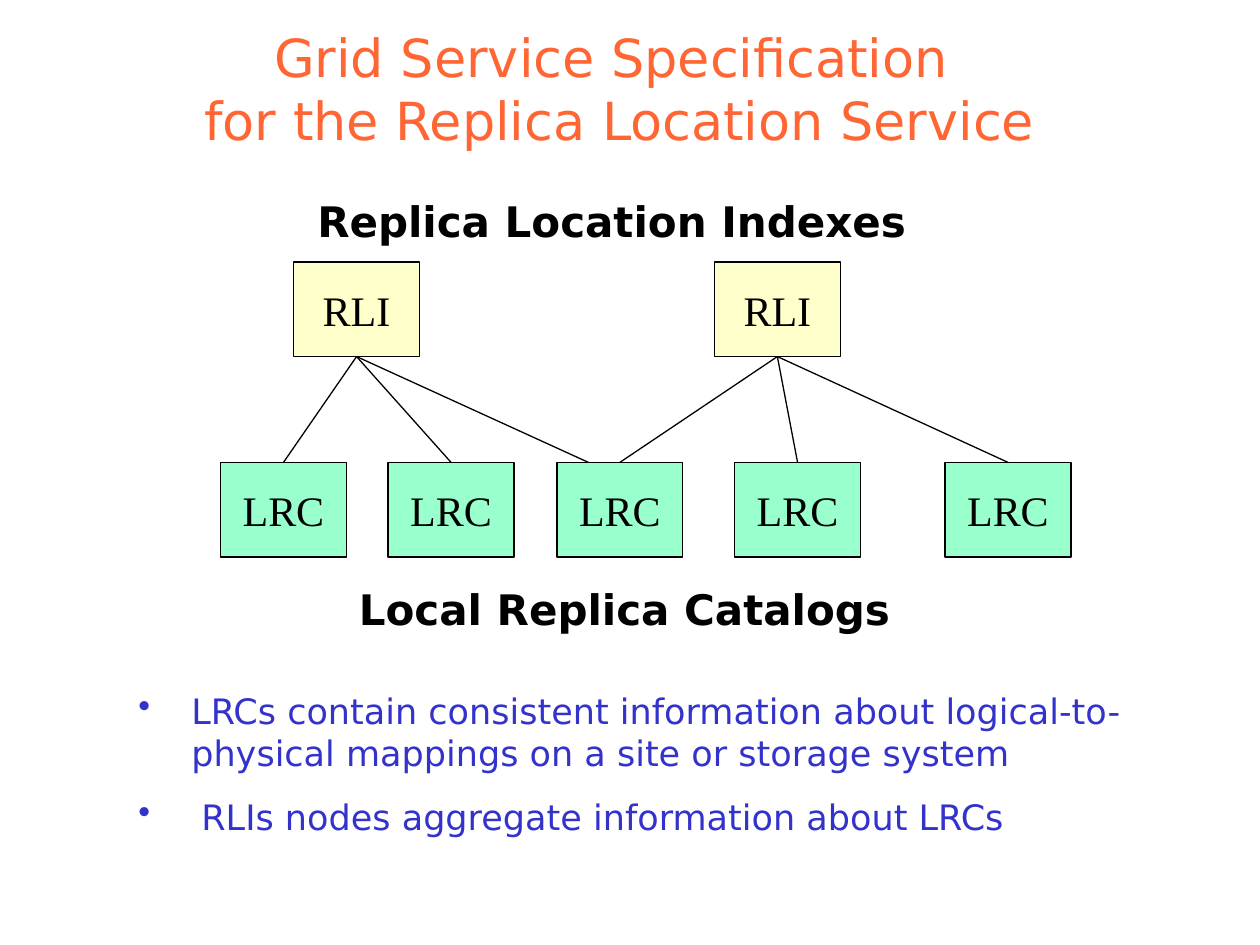
from lxml.etree import SubElement
from pptx import Presentation
from pptx.dml.color import RGBColor
from pptx.enum.shapes import MSO_CONNECTOR, MSO_SHAPE
from pptx.enum.text import MSO_ANCHOR, MSO_AUTO_SIZE, PP_ALIGN
from pptx.oxml.ns import qn
from pptx.util import Inches, Pt

HUES = {
    "ink": "000000",
    "title": "FF6633",
    "index": "FFFFCC",
    "catalog": "99FFCC",
    "note": "3333CC",
}
SANS = "DejaVu Sans"
SERIF = "Times New Roman"


def hue(name):
    return RGBColor.from_string(HUES[name])


def style(para, face, size, color, bold=False):
    for run in para.runs:
        font = run.font
        font.name = face
        font.size = Pt(size)
        font.bold = bold
        font.color.rgb = hue(color)


def set_title(slide, text):
    title = slide.shapes.title
    title.left, title.top = Inches(0.67), Inches(0.42)
    title.width, title.height = Inches(8.5), Inches(0.83)
    frame = title.text_frame
    frame.text = text
    frame.word_wrap = True
    frame.auto_size = MSO_AUTO_SIZE.NONE
    frame.vertical_anchor = MSO_ANCHOR.BOTTOM
    para = frame.paragraphs[0]
    para.alignment = PP_ALIGN.CENTER
    style(para, SANS, 30, "title")


def add_node(slide, text, left, top, fill):
    node = slide.shapes.add_shape(
        MSO_SHAPE.RECTANGLE, Inches(left), Inches(top), Inches(1), Inches(0.75)
    )
    node.shadow.inherit = False
    node.fill.solid()
    node.fill.fore_color.rgb = hue(fill)
    node.line.color.rgb = hue("ink")
    node.line.width = Pt(0.75)
    frame = node.text_frame
    frame.text = text
    frame.word_wrap = False
    frame.vertical_anchor = MSO_ANCHOR.MIDDLE
    para = frame.paragraphs[0]
    para.alignment = PP_ALIGN.CENTER
    style(para, SERIF, 24, "ink")
    return node


def add_link(slide, lower, upper, shift=0):
    start = lower.left + lower.width // 2 + Inches(shift)
    end = upper.left + upper.width // 2
    link = slide.shapes.add_connector(
        MSO_CONNECTOR.STRAIGHT, start, lower.top, end, upper.top + upper.height
    )
    if not shift:
        link.begin_connect(lower, 0)
    link.end_connect(upper, 2)
    link.line.color.rgb = hue("ink")
    link.line.width = Pt(0.75)
    SubElement(link.element.spPr, qn("a:effectLst"))


def add_text(slide, left, top, width, height):
    box = slide.shapes.add_textbox(
        Inches(left), Inches(top), Inches(width), Inches(height)
    )
    box.text_frame.word_wrap = True
    return box.text_frame


def add_label(slide, text, left, top, width):
    frame = add_text(slide, left, top, width, 0.5)
    frame.text = text
    style(frame.paragraphs[0], SANS, 24, "ink", True)


def add_bullet(para, indent):
    props = para._p.get_or_add_pPr()
    props.set("marL", str(Inches(indent)))
    props.set("indent", str(-Inches(indent)))
    SubElement(props, qn("a:buChar")).set("char", "•")


def add_notes(slide, notes):
    frame = add_text(slide, 1, 5.42, 8.42, 1.28)
    frame.text = "\n".join(text for text, indent in notes)
    for i, (text, indent) in enumerate(notes):
        para = frame.paragraphs[i]
        add_bullet(para, indent)
        if i:
            para.space_before = Pt(12.5)
        style(para, SANS, 20, "note")


def main():
    deck = Presentation()
    deck.slide_width, deck.slide_height = Inches(10), Inches(7.5)
    slide = deck.slides.add_slide(deck.slide_layouts[5])
    set_title(
        slide, "Grid Service Specification \vfor the Replica Location Service"
    )

    add_label(slide, "Replica Location Indexes", 2.42, 1.5, 5.17)
    add_label(slide, "Local Replica Catalogs", 2.75, 4.58, 4.5)

    tops = [add_node(slide, "RLI", x, 2.08, "index") for x in (2.33, 5.67)]
    lows = [
        add_node(slide, "LRC", x, 3.67, "catalog")
        for x in (1.75, 3.08, 4.42, 5.83, 7.5)
    ]
    for low in lows[:2]:
        add_link(slide, low, tops[0])
    add_link(slide, lows[2], tops[0], -0.25)
    for low in lows[2:]:
        add_link(slide, low, tops[1])

    add_notes(slide, [
        ("LRCs contain consistent information about logical-to-physical "
         "mappings on a site or storage system", 0.42),
        ("RLIs nodes aggregate information about LRCs", 0.5),
    ])
    deck.save("out.pptx")


if __name__ == "__main__":
    main()
